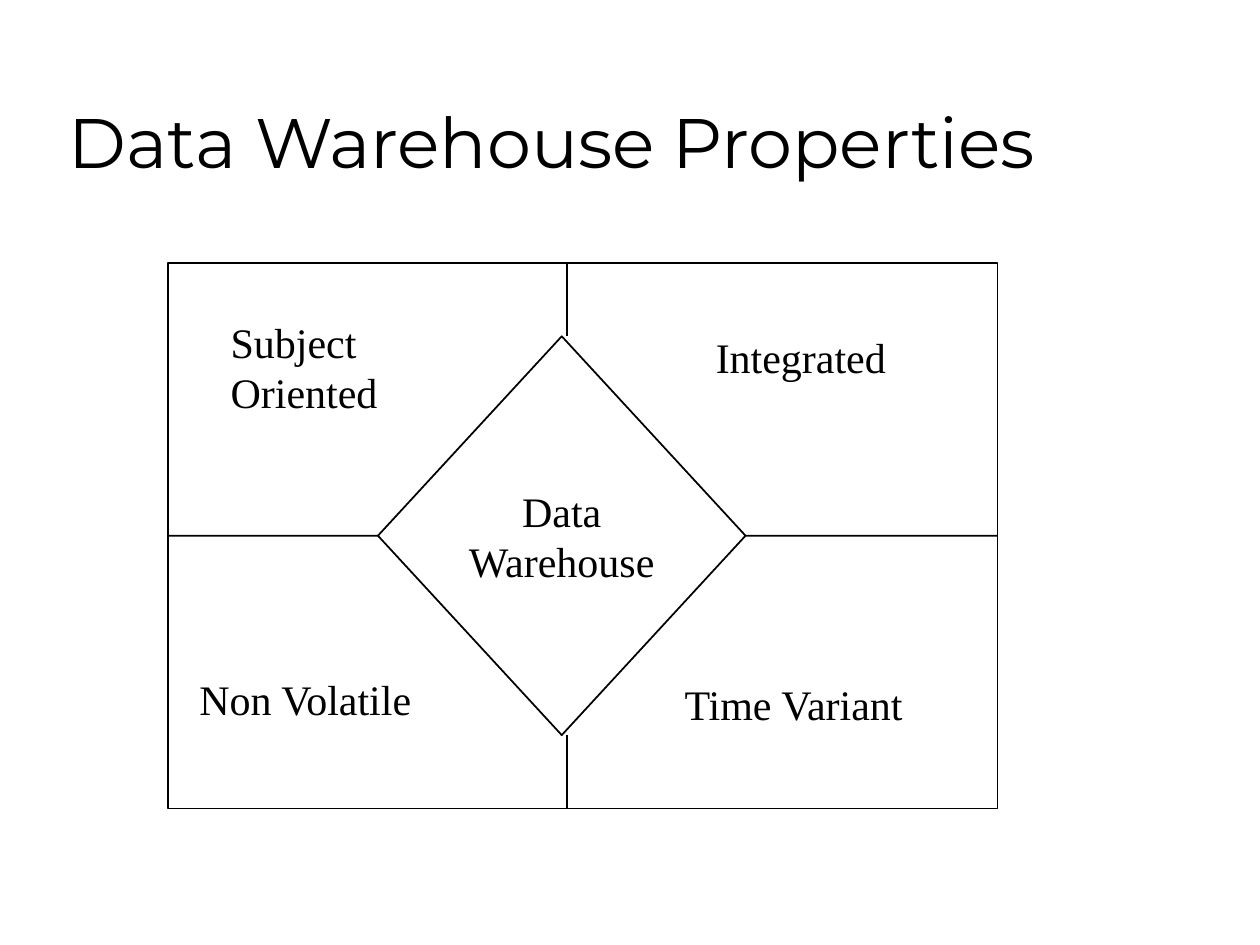
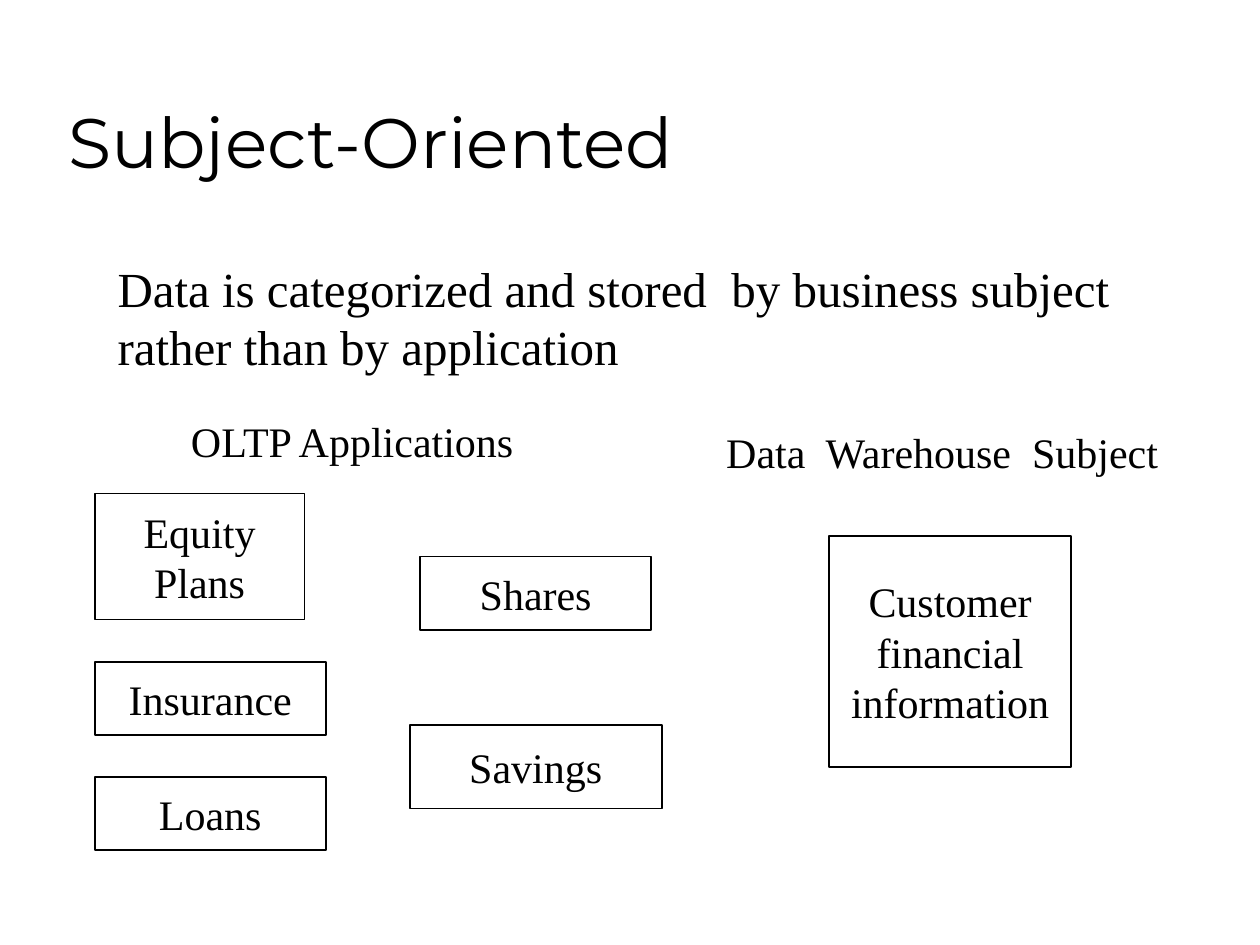
"""Builds two slides on data warehouse properties and subject orientation."""
from lxml import etree
from pptx import Presentation
from pptx.dml.color import RGBColor as RGB
from pptx.enum.shapes import MSO_CONNECTOR as LINE, MSO_SHAPE as SHAPE
from pptx.enum.text import MSO_ANCHOR as ANCHOR, MSO_AUTO_SIZE as FIT, PP_ALIGN as ALIGN
from pptx.oxml.ns import qn
from pptx.util import Cm, Pt

COLORS = {"ink": "000000", "paper": "FFFFFF"}
INK = RGB.from_string(COLORS["ink"])
TITLE_BOX = (1.13, 0.62, 21.59, 3.18)
TITLE = {
    "frame": {"word_wrap": True, "vertical_anchor": ANCHOR.BOTTOM},
    "para": {"alignment": ALIGN.LEFT},
    "font": {"name": "Montserrat", "size": Pt(40)},
}
LABEL = {
    "frame": {"word_wrap": False, "auto_size": FIT.SHAPE_TO_FIT_TEXT},
    "para": {"alignment": ALIGN.LEFT},
    "font": {"name": "Times New Roman", "size": Pt(24)},
}
LEAD = {**LABEL, "font": {"name": "Times New Roman", "size": Pt(28)}}
BOXED = {
    **LABEL,
    "frame": {"word_wrap": False, "vertical_anchor": ANCHOR.MIDDLE},
    "para": {"alignment": ALIGN.CENTER},
}


def add_text(s, box, text, fmt, kind=None):
    box = [Cm(v) for v in box]
    if kind is None:
        sp = s.shapes.add_textbox(*box)
    else:
        sp = s.shapes.add_shape(kind, *box)
        sp.shadow.inherit = False
        sp.fill.background()
        sp.line.color.rgb = INK
        sp.line.width = Pt(1)
    tf = sp.text_frame
    for name, value in fmt["frame"].items():
        setattr(tf, name, value)
    for i, line in enumerate(text.split("\n") if text else []):
        p = tf.add_paragraph() if i else tf.paragraphs[0]
        r = p.add_run()
        r.text = line
        r.font.color.rgb = INK
        for target, key in ((p, "para"), (r.font, "font")):
            for name, value in fmt[key].items():
                setattr(target, name, value)
    return sp


def add_line(s, x1, y1, x2, y2):
    c = s.shapes.add_connector(LINE.STRAIGHT, Cm(x1), Cm(y1), Cm(x2), Cm(y2))
    c.line.color.rgb = INK
    c.line.width = Pt(1)
    etree.SubElement(c._element.spPr, qn("a:effectLst"))
    return c


prs = Presentation()
prs.slide_width, prs.slide_height = Cm(25.4), Cm(19.05)
slides = []
for title in ("Data Warehouse Properties", "Subject-Oriented"):
    s = prs.slides.add_slide(prs.slide_layouts[6])
    s.background.fill.solid()
    s.background.fill.fore_color.rgb = RGB.from_string(COLORS["paper"])
    add_text(s, TITLE_BOX, title, TITLE)
    slides.append(s)
properties, subject = slides

frame = add_text(properties, (3.39, 5.3, 16.72, 11), "", BOXED, SHAPE.RECTANGLE)
diamond = add_text(properties, (7.62, 6.78, 7.41, 8.04), "Data\nWarehouse", BOXED,
                   SHAPE.FLOWCHART_DECISION)
for side, x1, x2 in ((3, 15.03, 20.11), (1, 7.62, 3.39)):
    c = add_line(properties, x1, 10.8, x2, 10.8)
    c.begin_connect(diamond, side)
    c.end_connect(frame, side)
for y1, y2 in ((14.82, 16.3), (6.78, 5.3)):
    add_line(properties, 11.43, y1, 11.43, y2)
for box, text in (
    ((14.18, 6.56, 3.94, 1.27), "Integrated"),
    ((13.55, 13.55, 5.03, 1.27), "Time Variant"),
    ((3.77, 13.45, 4.9, 1.27), "Non Volatile"),
    ((4.4, 6.25, 3.6, 2.29), "Subject\nOriented"),
):
    add_text(properties, box, text, LABEL)

add_text(subject, (2.12, 5.08, 20.6, 2.64),
         "Data is categorized and stored  by business subject\nrather than by application", LEAD)
for box, text in (
    ((1.91, 9.95, 4.23, 2.54), "Equity\nPlans"),
    ((8.47, 11.22, 4.66, 1.48), "Shares"),
    ((16.72, 10.8, 4.87, 4.66), "Customer\nfinancial\ninformation"),
    ((8.26, 14.61, 5.08, 1.69), "Savings"),
    ((1.91, 13.34, 4.66, 1.48), "Insurance"),
    ((1.91, 15.66, 4.66, 1.48), "Loans"),
):
    add_text(subject, box, text, BOXED, SHAPE.RECTANGLE)
add_text(subject, (3.6, 8.26, 7.16, 1.27), "OLTP Applications", LABEL)
add_text(subject, (14.39, 8.47, 9.3, 1.27), "Data  Warehouse  Subject", LABEL)

prs.save("out.pptx")
